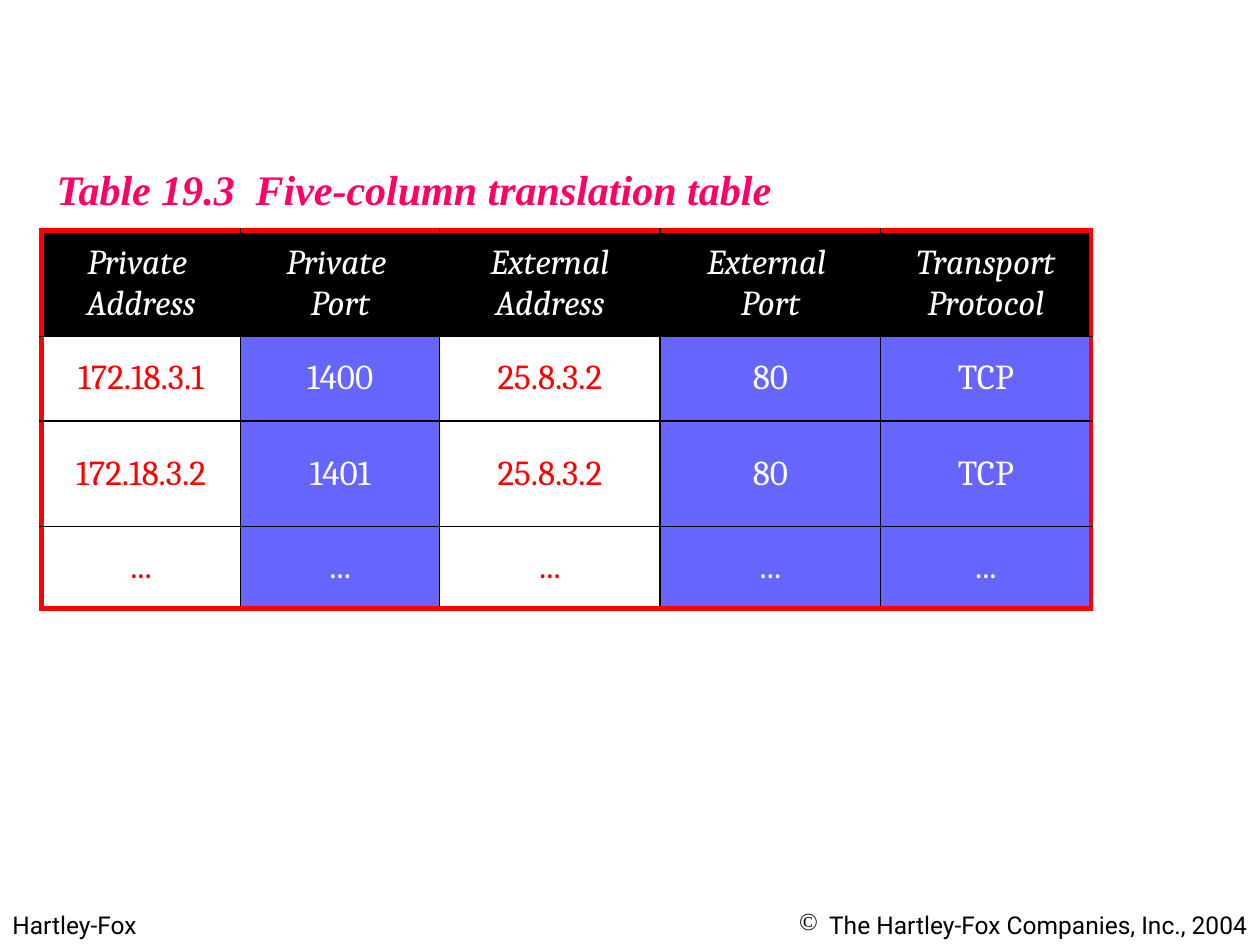
from dataclasses import dataclass

from lxml import etree
from pptx import Presentation
from pptx.dml.color import RGBColor
from pptx.enum.text import MSO_ANCHOR, MSO_AUTO_SIZE, PP_ALIGN
from pptx.oxml.ns import qn
from pptx.util import Inches, Pt

LEFT, CENTER, RIGHT = PP_ALIGN.LEFT, PP_ALIGN.CENTER, PP_ALIGN.RIGHT
TOP, MIDDLE = MSO_ANCHOR.TOP, MSO_ANCHOR.MIDDLE
NO_AUTOFIT = MSO_AUTO_SIZE.NONE


@dataclass(frozen=True)
class Theme:
    black: str = "000000"
    white: str = "FFFFFF"
    red: str = "FF0000"
    blue: str = "6666FF"
    pink: str = "FF0066"
    title_font: str = "Times New Roman"
    table_font: str = "Cambria"
    footer_font: str = "Roboto"
    title_size: int = 24
    table_size: int = 20
    footer_size: int = 14
    grid_width: int = 1
    frame_width: int = 3


class SlideBuilder:
    def __init__(self, slide, theme):
        self.slide = slide
        self.theme = theme

    def style(self, paragraph, face, size, color, align, bold=False, italic=False):
        paragraph.alignment = align
        font = paragraph.font
        font.name, font.size = face, Pt(size)
        font.bold, font.italic = bold, italic
        font.color.rgb = RGBColor.from_string(color)

    def title(self, text, left, top, width, height):
        theme = self.theme
        title = self.slide.shapes.title
        title.left, title.top = Inches(left), Inches(top)
        title.width, title.height = Inches(width), Inches(height)
        frame = title.text_frame
        frame.text = text
        frame.word_wrap = False
        frame.auto_size = NO_AUTOFIT
        frame.vertical_anchor = TOP
        self.style(frame.paragraphs[0], theme.title_font, theme.title_size,
                   theme.pink, LEFT, bold=True, italic=True)

    def footer(self, text, left, width, align, bullet=None):
        theme = self.theme
        box = self.slide.shapes.add_textbox(
            Inches(left), Inches(7.17), Inches(width), Inches(0.33))
        frame = box.text_frame
        frame.word_wrap = True
        paragraph = frame.paragraphs[0]
        paragraph.text = text
        self.style(paragraph, theme.footer_font, theme.footer_size, theme.black, align)
        if bullet:
            properties = paragraph._p.get_or_add_pPr()
            hanging = Inches(0.24)
            properties.set("marL", str(hanging))
            properties.set("indent", str(-hanging))
            mark = etree.Element(qn("a:buChar"), char=bullet)
            properties.insert_element_before(mark, "a:tabLst", "a:defRPr", "a:extLst")

    def borders(self, cell, outer_sides):
        """Draw a thin black grid line on each side, or the red frame on outer sides."""
        theme = self.theme
        properties = cell._tc.get_or_add_tcPr()
        for index, side in enumerate("LRTB"):
            outer = side in outer_sides
            width = theme.frame_width if outer else theme.grid_width
            line = etree.Element(qn(f"a:ln{side}"), w=str(Pt(width)))
            fill = etree.SubElement(line, qn("a:solidFill"))
            etree.SubElement(fill, qn("a:srgbClr"),
                             val=theme.red if outer else theme.black)
            properties.insert(index, line)

    def table(self, rows, left, top, column_widths, row_heights, red_columns):
        theme = self.theme
        table = self.slide.shapes.add_table(
            len(rows), len(column_widths), Inches(left), Inches(top),
            Inches(sum(column_widths)), Inches(sum(row_heights))).table
        table.first_row = table.horz_banding = False
        for column, width in zip(table.columns, column_widths):
            column.width = Inches(width)
        for row, height in zip(table.rows, row_heights):
            row.height = Inches(height)

        last_row, last_column = len(rows) - 1, len(column_widths) - 1
        for r, values in enumerate(rows):
            for c, value in enumerate(values):
                header = r == 0
                if header:
                    fill, color = theme.black, theme.white
                elif c in red_columns:
                    fill, color = theme.white, theme.red
                else:
                    fill, color = theme.blue, theme.white
                cell = table.cell(r, c)
                cell.fill.solid()
                cell.fill.fore_color.rgb = RGBColor.from_string(fill)
                cell.vertical_anchor = MIDDLE
                paragraph = cell.text_frame.paragraphs[0]
                paragraph.text = value
                self.style(paragraph, theme.table_font, theme.table_size,
                           color, CENTER, italic=header)
                edges = {"L": c == 0, "R": c == last_column,
                         "T": r == 0, "B": r == last_row}
                self.borders(cell, [side for side, outer in edges.items() if outer])


def main():
    deck = Presentation()
    deck.slide_width, deck.slide_height = Inches(10), Inches(7.5)
    title_only = deck.slide_layouts[5]
    builder = SlideBuilder(deck.slides.add_slide(title_only), Theme())

    builder.footer("Hartley-Fox", 0, 2.42, LEFT)
    builder.footer("The Hartley-Fox Companies, Inc., 2004", 5, 5, RIGHT, bullet="©")
    builder.title("Table 19.3  Five-column translation table", 0.35, 1.25, 5.9, 0.5)

    translations = [
        ["Private \nAddress", "Private \nPort", "External\nAddress",
         "External \nPort", "Transport\nProtocol"],
        ["172.18.3.1", "1400", "25.8.3.2", "80", "TCP"],
        ["172.18.3.2", "1401", "25.8.3.2", "80", "TCP"],
        ["..."] * 5,
    ]
    address_columns = (0, 2)
    builder.table(translations, 0.33, 1.83, [1.58, 1.58, 1.75, 1.75, 1.67],
                  [0.84, 0.67, 0.84, 0.65], address_columns)
    deck.save("out.pptx")


if __name__ == "__main__":
    main()
